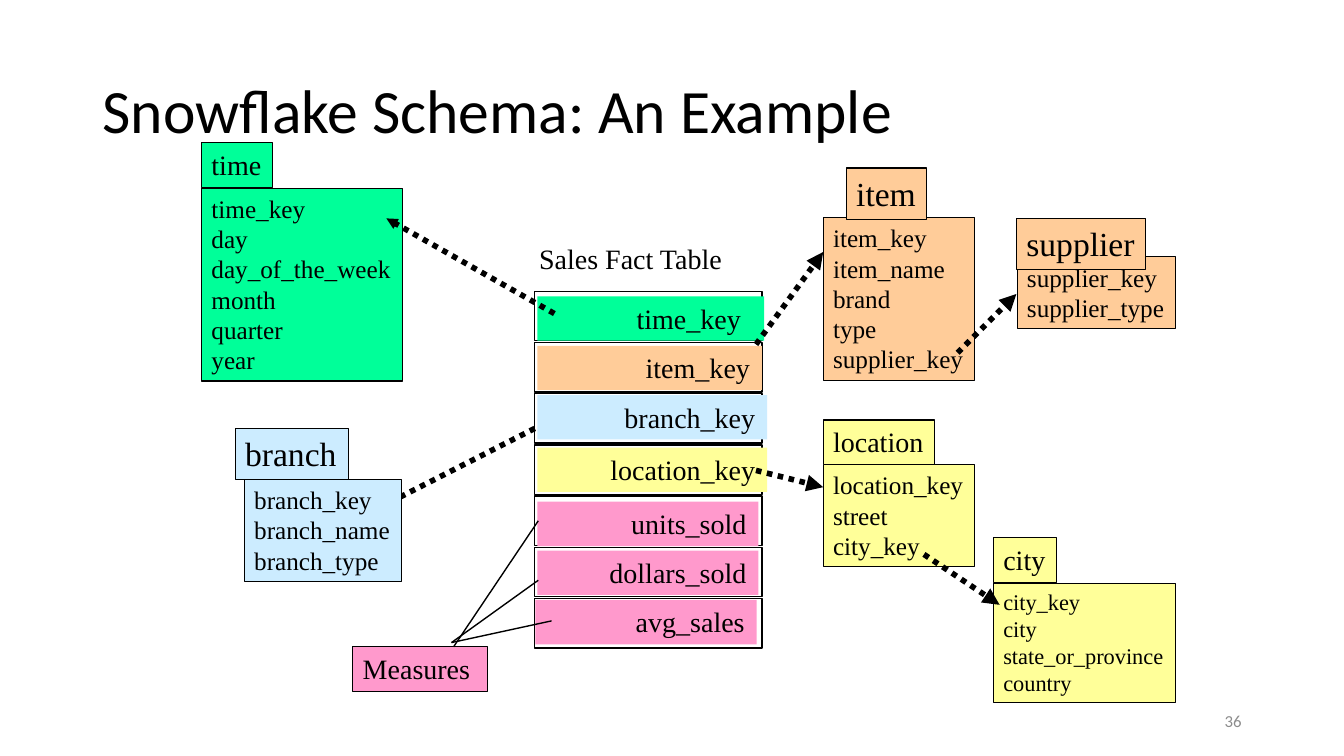
"""Build a slide showing a snowflake schema around a sales fact table."""
from dataclasses import dataclass

from lxml import etree
from pptx import Presentation
from pptx.dml.color import RGBColor
from pptx.enum.dml import MSO_LINE
from pptx.enum.shapes import MSO_CONNECTOR, MSO_SHAPE
from pptx.enum.text import MSO_ANCHOR, MSO_AUTO_SIZE, PP_ALIGN
from pptx.oxml.ns import qn
from pptx.util import Pt

RECTANGLE = MSO_SHAPE.RECTANGLE
STRAIGHT = MSO_CONNECTOR.STRAIGHT
DOTTED = MSO_LINE.ROUND_DOT
TOP, MIDDLE = MSO_ANCHOR.TOP, MSO_ANCHOR.MIDDLE
LEFT, RIGHT = PP_ALIGN.LEFT, PP_ALIGN.RIGHT
NO_AUTOFIT = MSO_AUTO_SIZE.NONE


@dataclass(frozen=True)
class Theme:
    """Colours, fonts, type sizes and line widths."""
    title_font: str = "Calibri"
    body_font: str = "Times New Roman"
    black: str = "000000"
    grey: str = "8C8C8C"
    green: str = "00FF99"
    orange: str = "FFCC99"
    blue: str = "CCECFF"
    yellow: str = "FFFF99"
    pink: str = "FF99CC"
    title_size: int = 44
    large_size: int = 24
    label_size: int = 20
    field_size: int = 18
    small_size: int = 16
    number_size: int = 12
    box_line: float = 0.75
    thin_line: float = 1
    arrow_line: float = 4


THEME = Theme()
TITLE = "Snowflake Schema: An Example"
FACT_TITLE = "Sales Fact Table"
MEASURES = "Measures"
SLIDE_NUMBER = "36"

FACT_LEFT, FACT_TOP, FACT_WIDTH, ROW_HEIGHT, ROW_STEP = 381.6, 208, 162.7, 35.3, 36.6
BAR_HEIGHT = 31.7
FACT_ROWS = [
    ("time_key", THEME.green, (383.8, 211.7, 162), 16.5),
    ("item_key", THEME.orange, (383.8, 247, 160.5), 8.5),
    ("branch_key", THEME.blue, (383.8, 282.2, 164.2), 8.5),
    ("location_key", THEME.yellow, (383.8, 319.7, 164.2), 8.5),
    ("units_sold", THEME.pink, (383.8, 358.4, 158), 8.5),
    ("dollars_sold", THEME.pink, (383.8, 393.3, 158), 8.5),
    ("avg_sales", THEME.pink, (382.5, 428.6, 158), 8.5),
]

DIMENSIONS = [
    ("time", THEME.green, THEME.label_size, (144, 102, 50.5, 32),
     ["time_key", "day", "day_of_the_week", "month", "quarter", "year"],
     THEME.field_size, (144, 134.5, 143.5, 137.7)),
    ("location", THEME.yellow, THEME.label_size, (588, 300, 79.4, 32),
     ["location_key", "street", "city_key"],
     THEME.field_size, (588, 331.9, 108, 72.7)),
    ("item", THEME.orange, THEME.large_size, (604.5, 120, 57.3, 36.6),
     ["item_key", "item_name", "brand", "type", "supplier_key"],
     THEME.field_size, (588, 155.5, 108, 116)),
    ("branch", THEME.blue, THEME.large_size, (168, 306, 80.8, 36.6),
     ["branch_key", "branch_name", "branch_type"],
     THEME.field_size, (174.5, 342.5, 112.3, 72.7)),
    ("supplier", THEME.orange, THEME.large_size, (726, 156, 92.2, 36.6),
     ["supplier_key", "supplier_type"],
     THEME.field_size, (726.5, 183.5, 113, 51)),
    ("city", THEME.yellow, THEME.label_size, (709.6, 384, 45, 32),
     ["city_key", "city", "state_or_province", "country"],
     THEME.small_size, (709.6, 416.7, 130, 85)),
]

MEASURE_LINES = [
    (324, 462, 384.5, 372),
    (322.5, 459, 384.5, 414.5),
    (322.5, 459, 394, 443.5),
]
ARROWS_BEHIND = [((382, 306, 276, 360), "sm")]
ARROWS_IN_FRONT = [
    ((396, 224, 276, 156), "sm"),
    ((540, 336, 588, 348), "med"),
    ((540, 246, 588, 180), "med"),
    ((684, 252, 726, 210), "med"),
    ((660, 396, 714, 432), "med"),
]


def write_text(shape, lines, size, font=THEME.body_font, color=THEME.black,
               align=LEFT, anchor=TOP, wrap=False):
    """Fill a shape with one paragraph per line and format it."""
    frame = shape.text_frame
    frame.text = "\n".join(lines)
    frame.auto_size = NO_AUTOFIT
    frame.word_wrap = wrap
    frame.vertical_anchor = anchor
    for paragraph in frame.paragraphs:
        paragraph.alignment = align
        for run in paragraph.runs:
            run.font.name = font
            run.font.size = Pt(size)
            run.font.color.rgb = RGBColor.from_string(color)
    return frame


def add_box(slide, bounds, fill=None, line_width=None):
    """Add a rectangle with an optional fill and outline."""
    shape = slide.shapes.add_shape(RECTANGLE, *map(Pt, bounds))
    shape.shadow.inherit = False
    if fill:
        shape.fill.solid()
        shape.fill.fore_color.rgb = RGBColor.from_string(fill)
    else:
        shape.fill.background()
    if line_width:
        shape.line.color.rgb = RGBColor.from_string(THEME.black)
        shape.line.width = Pt(line_width)
    else:
        shape.line.fill.background()
    return shape


def add_line(slide, ends, width=THEME.thin_line, head=None):
    """Add a plain line, or a dotted arrow when a head size is given."""
    connector = slide.shapes.add_connector(STRAIGHT, *map(Pt, ends))
    connector.line.color.rgb = RGBColor.from_string(THEME.black)
    connector.line.width = Pt(width)
    if head:
        connector.line.dash_style = DOTTED
        outline = connector.line._get_or_add_ln()
        etree.SubElement(outline, qn("a:tailEnd"), type="triangle", w=head, len=head)
    etree.SubElement(connector._element.spPr, qn("a:effectLst"))


def add_arrows(slide, arrows):
    """Add dotted arrows between tables."""
    for ends, head in arrows:
        add_line(slide, ends, THEME.arrow_line, head)


def add_label(slide, bounds, text, size, **style):
    """Add a text box holding one line."""
    write_text(slide.shapes.add_textbox(*map(Pt, bounds)), [text], size, **style)


def add_title(slide):
    """Place and format the title placeholder."""
    title = slide.shapes.title
    title.left, title.top, title.width, title.height = map(Pt, (66, 28.8, 828, 104.4))
    frame = write_text(title, [TITLE], THEME.title_size, font=THEME.title_font,
                       anchor=MIDDLE, wrap=True)
    frame.paragraphs[0].line_spacing = 0.9


def add_fact_table(slide):
    """Add the fact table with its heading, rows and measures."""
    add_label(slide, (378, 169.2, 146.2, 31.7), FACT_TITLE, THEME.label_size)
    for index, (key, color, (left, top, width), inset) in enumerate(FACT_ROWS):
        row_top = FACT_TOP + index * ROW_STEP
        add_box(slide, (FACT_LEFT, row_top, FACT_WIDTH, ROW_HEIGHT), None, THEME.thin_line)
        bar = add_box(slide, (left, top, width, BAR_HEIGHT), color)
        frame = write_text(bar, [key], THEME.label_size, align=RIGHT, wrap=True)
        frame.margin_right = Pt(inset)
    measures = add_box(slide, (252, 462, 96, 32), THEME.pink, THEME.box_line)
    write_text(measures, [MEASURES], THEME.label_size)
    for ends in MEASURE_LINES:
        add_line(slide, ends)


def add_dimensions(slide):
    """Add each dimension table and its name tab."""
    for name, color, name_size, name_bounds, fields, field_size, bounds in DIMENSIONS:
        write_text(add_box(slide, bounds, color, THEME.box_line), fields, field_size)
        write_text(add_box(slide, name_bounds, color, THEME.box_line), [name], name_size)


def main():
    """Create and save the presentation."""
    presentation = Presentation()
    presentation.slide_width, presentation.slide_height = Pt(960), Pt(540)
    slide = presentation.slides.add_slide(presentation.slide_layouts[5])
    add_title(slide)
    add_fact_table(slide)
    add_arrows(slide, ARROWS_BEHIND)
    add_dimensions(slide)
    add_arrows(slide, ARROWS_IN_FRONT)
    add_label(slide, (678, 500.5, 216, 28.8), SLIDE_NUMBER, THEME.number_size,
              font=THEME.title_font, color=THEME.grey, align=RIGHT, anchor=MIDDLE, wrap=True)
    presentation.save("out.pptx")


if __name__ == "__main__":
    main()
